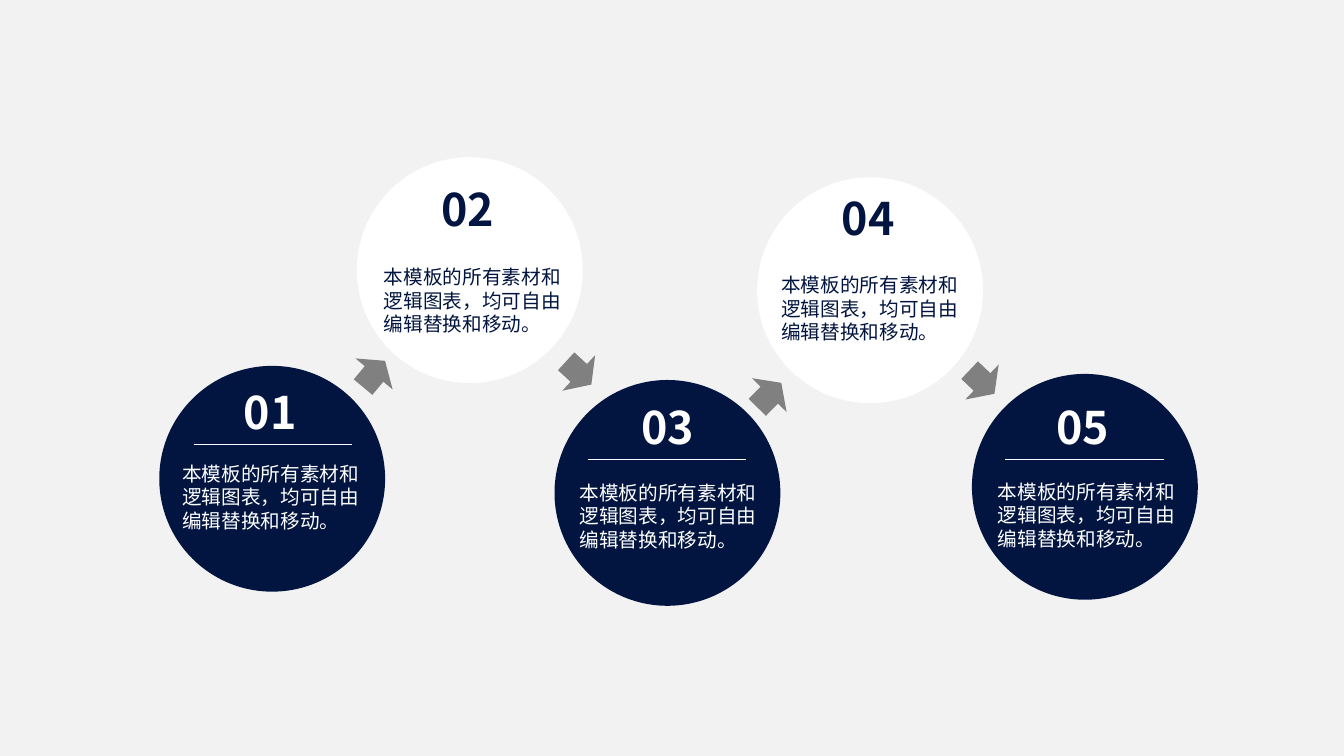
import typing

import lxml.etree
import pptx
import pptx.dml.color
import pptx.enum.shapes
import pptx.enum.text
import pptx.oxml.ns
import pptx.util

PX = 9144  # EMU, 100 px to the inch
FACE = "Noto Sans CJK SC"
NAVY, WHITE, GREY, PALE = "021540", "FFFFFF", "808080", "F2F2F2"
DISC, RULE = 224, 157
BODY = "本模板的所有素材和逻辑图表，均可自由编辑替换和移动。"
SHAPE = pptx.enum.shapes.MSO_SHAPE


class Point(typing.NamedTuple):
    x: int
    y: int


class Step(typing.NamedTuple):
    disc: Point
    label: Point
    body: Point
    fill: str
    ink: str
    rule: Point | None = None


class Arrow(typing.NamedTuple):
    at: Point
    turn: float


STEPS = [
    Step(Point(158, 363), Point(232, 377), Point(171, 453), NAVY, WHITE, Point(192, 441)),
    Step(Point(354, 156), Point(428, 175), Point(371, 258), WHITE, NAVY),
    Step(Point(550, 377), Point(626, 392), Point(565, 472), NAVY, WHITE, Point(583, 456)),
    Step(Point(751, 176), Point(825, 184), Point(765, 266), WHITE, NAVY),
    Step(Point(964, 371), Point(1038, 392), Point(980, 471), NAVY, WHITE, Point(997, 456)),
]
ARROWS = [
    Arrow(Point(354, 347), 309.9),
    Arrow(Point(557, 346), 42.7),
    Arrow(Point(746, 368), 314.4),
    Arrow(Point(957, 355), 43.6),
]


def px(count: int) -> pptx.util.Emu:
    return pptx.util.Emu(count * PX)


def paint(fmt, tone: str) -> None:
    """Give a fill a solid colour."""
    fmt.solid()
    fmt.fore_color.rgb = pptx.dml.color.RGBColor.from_string(tone)


def add_form(slide, kind, at: Point, wide: int, high: int, tone: str):
    form = slide.shapes.add_shape(kind, px(at.x), px(at.y), px(wide), px(high))
    form.shadow.inherit = False
    paint(form.fill, tone)
    form.line.fill.background()
    return form


def add_text(slide, at: Point, wide: int, high: int, text: str,
             size: int, tone: str, bold: bool, wrap: bool) -> None:
    box = slide.shapes.add_textbox(px(at.x), px(at.y), px(wide), px(high))
    frame = box.text_frame
    frame.word_wrap = wrap
    frame.auto_size = pptx.enum.text.MSO_AUTO_SIZE.SHAPE_TO_FIT_TEXT
    par = frame.paragraphs[0]
    par.text = text
    font = par.font
    font.name, font.size, font.bold = FACE, pptx.util.Pt(size), bold
    paint(font.fill, tone)
    # East Asian glyphs take their face from a:ea, next to a:latin.
    qn = pptx.oxml.ns.qn
    latin = par._p.find(".//" + qn("a:latin"))
    east = lxml.etree.Element(qn("a:ea"), typeface=FACE)
    latin.addnext(east)


def add_rule(slide, at: Point) -> None:
    rule = slide.shapes.add_connector(
        pptx.enum.shapes.MSO_CONNECTOR.STRAIGHT,
        px(at.x), px(at.y), px(at.x + RULE), px(at.y))
    paint(rule.line.fill, WHITE)
    rule.line.width = pptx.util.Pt(0.25)
    lxml.etree.SubElement(rule._element.spPr, pptx.oxml.ns.qn("a:effectLst"))


def main() -> None:
    deck = pptx.Presentation()
    deck.slide_width, deck.slide_height = px(1333), px(750)
    slide = deck.slides.add_slide(deck.slide_layouts[6])
    paint(slide.background.fill, PALE)

    for step in STEPS:
        add_form(slide, SHAPE.OVAL, step.disc, DISC, DISC, step.fill)
    for arrow in ARROWS:
        form = add_form(slide, SHAPE.RIGHT_ARROW, arrow.at, 34, 48, GREY)
        form.rotation = arrow.turn
    for num, step in enumerate(STEPS, 1):
        add_text(slide, step.label, 76, 64, f"{num:02}", 32, step.ink, True, False)
        if step.rule:
            add_rule(slide, step.rule)
        add_text(slide, step.body, 197, 81, BODY, 14, step.ink, False, True)

    deck.save("out.pptx")


if __name__ == "__main__":
    main()
